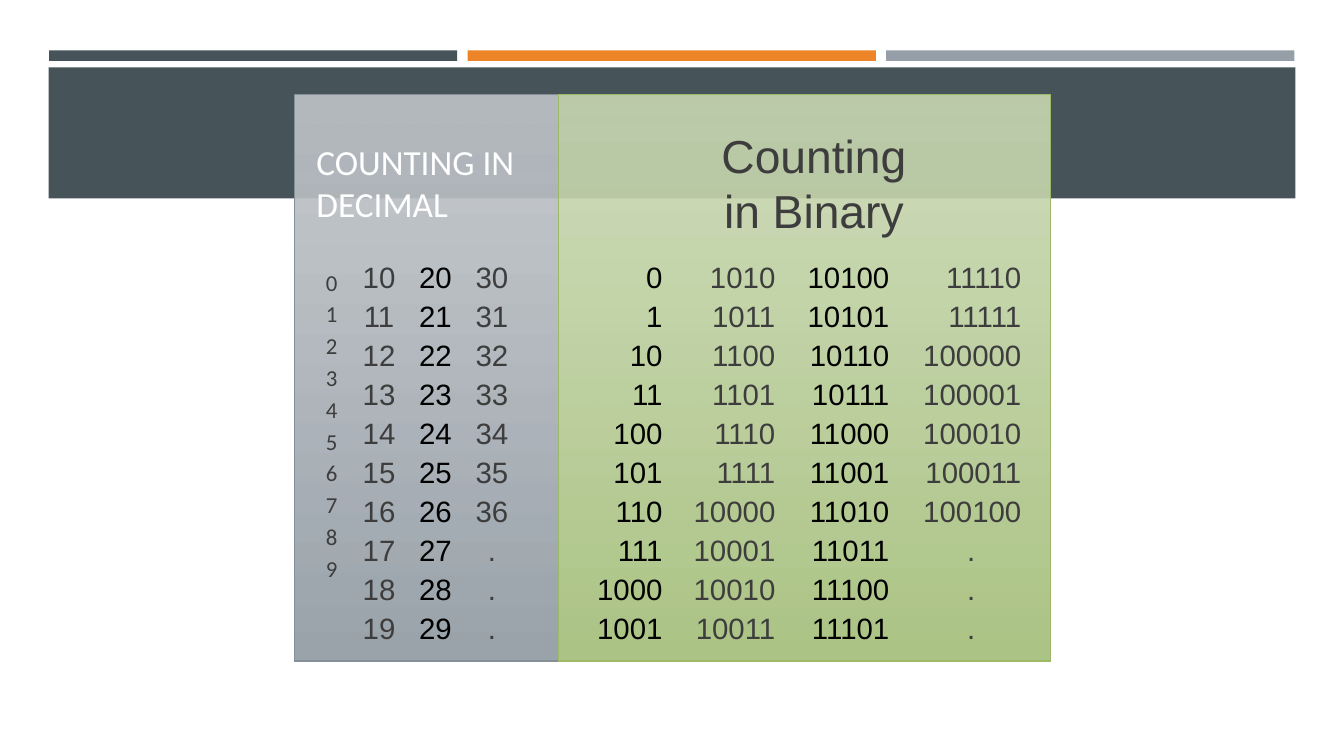
from lxml.etree import SubElement
from pptx import Presentation
from pptx.dml.color import RGBColor
from pptx.enum.shapes import MSO_SHAPE
from pptx.enum.text import MSO_ANCHOR, PP_ALIGN
from pptx.oxml.ns import qn
from pptx.util import Pt

COLORS = {
    "slate": "465359", "orange": "ED8428", "gray": "969FA7",
    "dark": "3D3D3D", "black": "000000", "white": "FFFFFF",
    "gray_top": "C0C5C9", "gray_bottom": "9BA3AB", "gray_line": "858F99",
    "green_top": "CAD9B4", "green_bottom": "ACC485", "green_line": "9BB966",
}
ROWS = 10
LAST = 36


def add_rect(left, top, width, height, color):
    sp = s.shapes.add_shape(MSO_SHAPE.RECTANGLE, Pt(left), Pt(top), Pt(width), Pt(height))
    sp.shadow.inherit = False
    sp.fill.solid()
    sp.fill.fore_color.rgb = RGBColor.from_string(COLORS[color])
    sp.line.fill.background()
    return sp


def add_text(left, top, width, height, lines, size, font, color, align,
             anchor=MSO_ANCHOR.TOP, spacing=1.0, before=0, after=0):
    sp = s.shapes.add_textbox(Pt(left), Pt(top), Pt(width), Pt(height))
    tf = sp.text_frame
    tf.word_wrap = True
    tf.vertical_anchor = anchor
    for i, line in enumerate(lines):
        p = tf.add_paragraph() if i else tf.paragraphs[0]
        p.alignment = PP_ALIGN.CENTER if line == "." else align
        p.line_spacing = spacing
        p.space_before = Pt(before)
        p.space_after = Pt(after)
        r = p.add_run()
        r.text = line
        r.font.size = Pt(size)
        r.font.name = font
        r.font.color.rgb = RGBColor.from_string(COLORS[color])


prs = Presentation()
prs.slide_width = Pt(960)
prs.slide_height = Pt(540)
s = prs.slides.add_slide(prs.slide_layouts[6])

for i, color in enumerate(["slate", "orange", "gray"]):
    add_rect(35 + 299 * i, 36, 291.6, 7.5, color)
add_rect(34.8, 48.2, 890.6, 93.6, "slate")

for left, width, name in [(210.2, 188.6, "gray"), (398.8, 351.4, "green")]:
    sp = add_rect(left, 67.7, width, 404.6, "gray")
    sp.fill.gradient()
    sp.fill.gradient_angle = 270
    for stop, end in zip(sp.fill.gradient_stops, ["top", "bottom"]):
        stop.color.rgb = RGBColor.from_string(COLORS[f"{name}_{end}"])
    top_color = next(sp.fill._xPr.iter(qn("a:srgbClr")))
    SubElement(top_color, qn("a:alpha"), val="90000")
    sp.line.color.rgb = RGBColor.from_string(COLORS[f"{name}_line"])
    sp.line.width = Pt(1)

add_text(218.9, 96.5, 166.3, 67.7, ["COUNTING IN DECIMAL"], 25.2, "Calibri", "white",
         PP_ALIGN.LEFT, MSO_ANCHOR.BOTTOM)
add_text(498.2, 96.5, 166.3, 67.7, ["Counting in Binary"], 33, "Arial", "dark",
         PP_ALIGN.CENTER, MSO_ANCHOR.MIDDLE)

add_text(223.2, 184.3, 27.4, 243.4, [str(n) for n in range(ROWS)], 16.3, "Calibri", "dark",
         PP_ALIGN.CENTER, MSO_ANCHOR.MIDDLE, 0.7, 3, 6)

columns = [
    (250.6, 40.3, 1, "d", "dark"), (290.9, 40.3, 2, "d", "black"), (331.2, 40.3, 3, "d", "dark"),
    (416.9, 63.4, 0, "b", "black"), (475.2, 85.7, 1, "b", "dark"),
    (556.6, 85.7, 2, "b", "black"), (650.9, 85.7, 3, "b", "dark"),
]
for left, width, tens, base, color in columns:
    numbers = range(tens * ROWS, (tens + 1) * ROWS)
    lines = [format(n, base) if n <= LAST else "." for n in numbers]
    align = PP_ALIGN.CENTER if base == "d" else PP_ALIGN.RIGHT
    add_text(left, 184.3, width, 243.4, lines, 21, "Arial", color, align, spacing=0.9, before=5.2)

prs.save("out.pptx")
